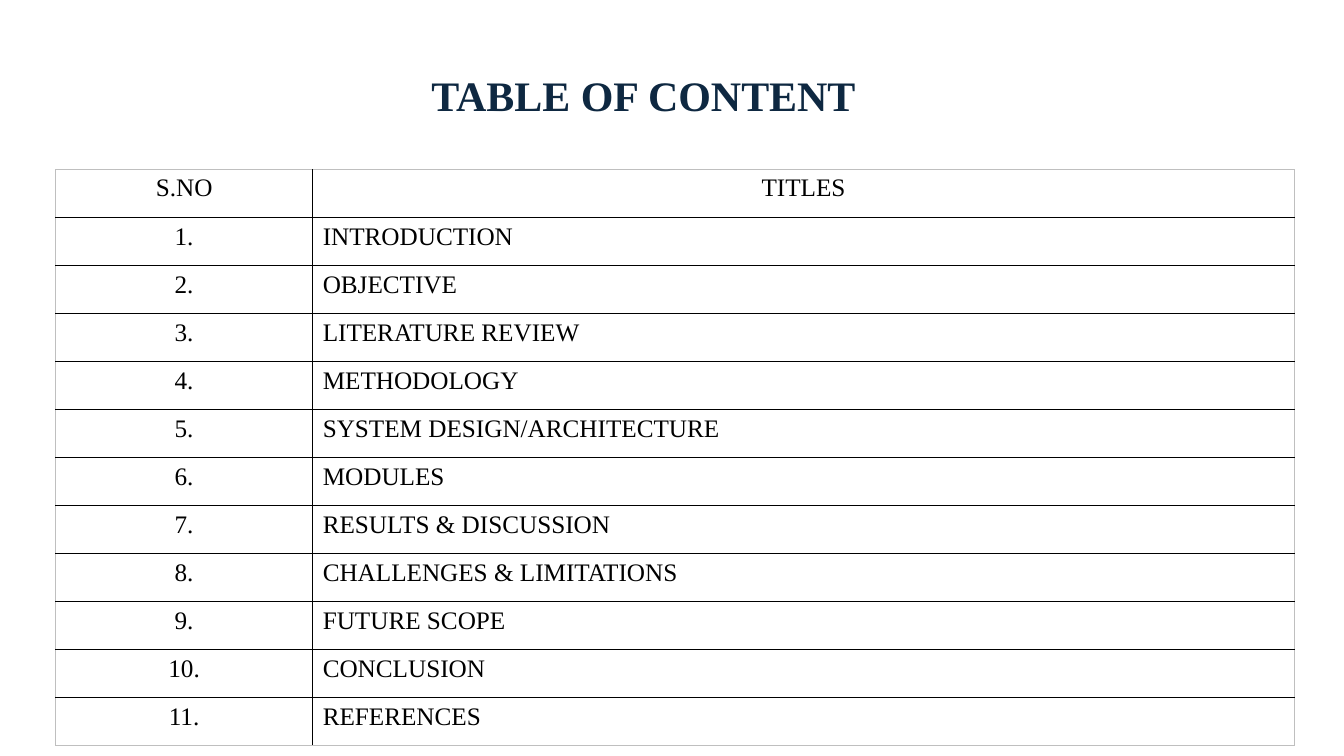
from lxml import etree
from pptx import Presentation
from pptx.dml.color import RGBColor
from pptx.enum import text
from pptx.oxml import ns
from pptx.util import Cm, Pt

COLORS = {"title": "0E2841", "text": "000000", "grid": "000000", "frame": "BFBFBF"}
FONT = "Times New Roman"
TOPICS = [
    "INTRODUCTION", "OBJECTIVE", "LITERATURE REVIEW", "METHODOLOGY",
    "SYSTEM DESIGN/ARCHITECTURE", "MODULES", "RESULTS & DISCUSSION",
    "CHALLENGES & LIMITATIONS", "FUTURE SCOPE", "CONCLUSION", "REFERENCES",
]


def write(frame, words, size=18, color="text", bold=False, align=text.PP_ALIGN.LEFT):
    paragraph = frame.paragraphs[0]
    paragraph.alignment = align
    run = paragraph.add_run()
    run.text = words
    run.font.name = FONT
    run.font.size = Pt(size)
    run.font.bold = bold
    run.font.color.rgb = RGBColor.from_string(COLORS[color])


def add_border(cell, side, color, width):
    line = etree.SubElement(cell._tc.get_or_add_tcPr(), ns.qn(f"a:{side}"), w=str(Pt(width)))
    fill = etree.SubElement(line, ns.qn("a:solidFill"))
    etree.SubElement(fill, ns.qn("a:srgbClr"), val=COLORS[color])


deck = Presentation()
deck.slide_width, deck.slide_height = Cm(33.87), Cm(19.05)
slide = deck.slides.add_slide(deck.slide_layouts[6])

# Contents table
rows = [("S.NO", "TITLES")]
rows += [(f"{number}.", topic) for number, topic in enumerate(TOPICS, 1)]
widths = [Cm(6.48), Cm(24.74)]
row_height = Cm(1.21)
contents = slide.shapes.add_table(
    len(rows), len(widths), Cm(1.4), Cm(4.27), sum(widths), row_height * len(rows)
).table
contents.first_row = contents.horz_banding = False
for column, width in zip(contents.columns, widths):
    column.width = width

for r, entries in enumerate(rows):
    contents.rows[r].height = row_height
    for c, entry in enumerate(entries):
        cell = contents.cell(r, c)
        centred = r == 0 or c == 0
        write(cell.text_frame, entry,
              align=text.PP_ALIGN.CENTER if centred else text.PP_ALIGN.JUSTIFY)
        # Black inner grid, thin grey outer frame
        outer = {"lnL": c == 0, "lnR": c == len(widths) - 1,
                 "lnT": r == 0, "lnB": r == len(rows) - 1}
        for side, on_frame in outer.items():
            add_border(cell, side, *(("frame", 0.5) if on_frame else ("grid", 1)))
        cell.fill.background()

# Title
title = slide.shapes.add_textbox(Cm(10.62), Cm(1.63), Cm(16.48), Cm(1.55)).text_frame
title.word_wrap = True
title.auto_size = text.MSO_AUTO_SIZE.SHAPE_TO_FIT_TEXT
write(title, "TABLE OF CONTENT", size=30, color="title", bold=True)

deck.save("out.pptx")
